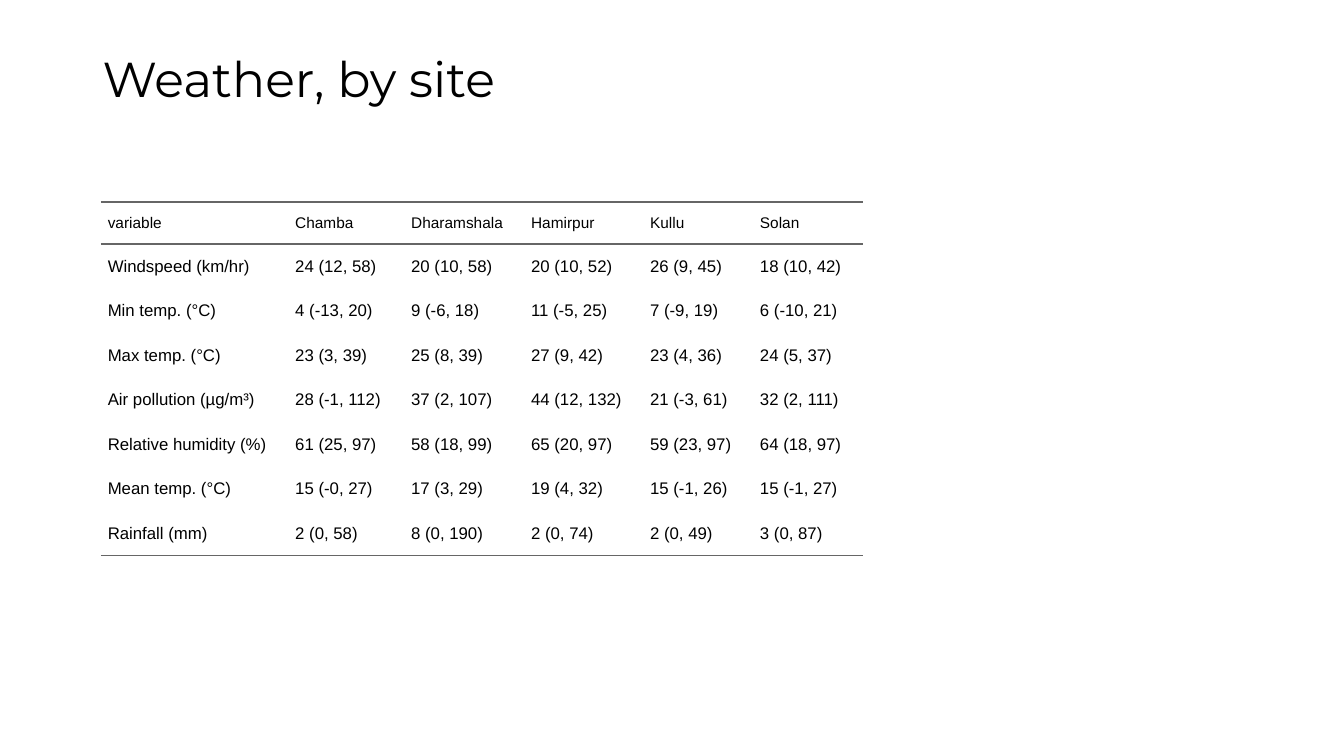
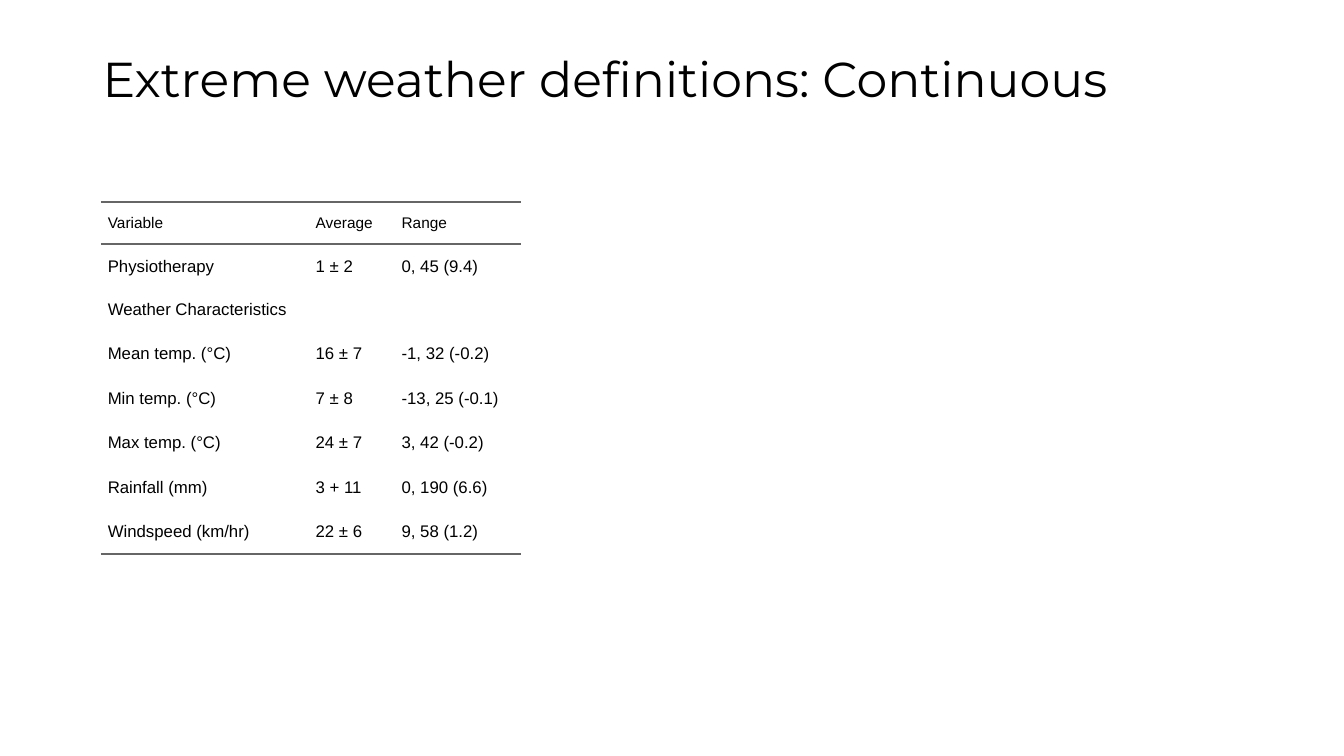
from lxml import etree
from pptx import Presentation
from pptx.dml.color import RGBColor
from pptx.enum import text
from pptx.oxml import ns
from pptx.util import Pt

BLACK = RGBColor(0x00, 0x00, 0x00)
RULE_GREY = RGBColor(0x66, 0x66, 0x66)
TITLE_FONT, TABLE_FONT = "Montserrat", "Arial"
NO_STYLE_NO_GRID = "{2D5ABB26-0587-4C30-8999-92F81FD0307C}"

TABLE_LEFT, TABLE_TOP = 72, 144
HEADER_HEIGHT, ROW_HEIGHT, SUBHEADING_HEIGHT = 30.4, 31.8, 30.6
CELL_MARGIN = 5

SITE_WIDTHS = [133.9, 82.8, 85.7, 85, 78.5, 78.5]
SITE_ROWS = [
    ["variable", "Chamba", "Dharamshala", "Hamirpur", "Kullu", "Solan"],
    ["Windspeed (km/hr)", "24 (12, 58)", "20 (10, 58)", "20 (10, 52)", "26 (9, 45)", "18 (10, 42)"],
    ["Min temp. (°C)", "4 (-13, 20)", "9 (-6, 18)", "11 (-5, 25)", "7 (-9, 19)", "6 (-10, 21)"],
    ["Max temp. (°C)", "23 (3, 39)", "25 (8, 39)", "27 (9, 42)", "23 (4, 36)", "24 (5, 37)"],
    ["Air pollution (µg/m³)", "28 (-1, 112)", "37 (2, 107)", "44 (12, 132)", "21 (-3, 61)", "32 (2, 111)"],
    ["Relative humidity (%)", "61 (25, 97)", "58 (18, 99)", "65 (20, 97)", "59 (23, 97)", "64 (18, 97)"],
    ["Mean temp. (°C)", "15 (-0, 27)", "17 (3, 29)", "19 (4, 32)", "15 (-1, 26)", "15 (-1, 27)"],
    ["Rainfall (mm)", "2 (0, 58)", "8 (0, 190)", "2 (0, 74)", "2 (0, 49)", "3 (0, 87)"],
]

DEFINITION_WIDTHS = [148.5, 61.4, 90]
DEFINITION_ROWS = [
    ["Variable", "Average", "Range"],
    ["Physiotherapy", "1 ± 2", "0, 45 (9.4)"],
    ["Weather Characteristics", "", ""],
    ["Mean temp. (°C)", "16 ± 7", "-1, 32 (-0.2)"],
    ["Min temp. (°C)", "7 ± 8", "-13, 25 (-0.1)"],
    ["Max temp. (°C)", "24 ± 7", "3, 42 (-0.2)"],
    ["Rainfall (mm)", "3 + 11", "0, 190 (6.6)"],
    ["Windspeed (km/hr)", "22 ± 6", "9, 58 (1.2)"],
]


def write(frame, words, *, size, font, spacing=None):
    paragraph = frame.paragraphs[0]
    paragraph.line_spacing = spacing
    run = paragraph.add_run()
    run.text = words
    run.font.size = Pt(size)
    run.font.name = font
    run.font.color.rgb = BLACK


def add_title(slide, words):
    title = slide.shapes.add_textbox(Pt(66.2), Pt(28.8), Pt(828), Pt(58.3))
    frame = title.text_frame
    frame.word_wrap = True
    frame.vertical_anchor = text.MSO_ANCHOR.MIDDLE
    write(frame, words, size=35, font=TITLE_FONT, spacing=0.9)


def add_rule(cell, side):
    """Draw a cell border; side is T or B, and T has to come first."""
    cell_properties = cell._tc.get_or_add_tcPr()
    line = etree.SubElement(cell_properties, ns.qn(f"a:ln{side}"), w=str(Pt(1.5)))
    fill = etree.SubElement(line, ns.qn("a:solidFill"))
    etree.SubElement(fill, ns.qn("a:srgbClr"), val=str(RULE_GREY))


def fill_cell(cell, words, *, size, rules):
    for side in rules:
        add_rule(cell, side)
    cell.fill.background()
    if words:
        cell.vertical_anchor = text.MSO_ANCHOR.MIDDLE
        cell.margin_left = cell.margin_top = cell.margin_bottom = Pt(CELL_MARGIN)
        cell.margin_right = 0
        write(cell.text_frame, words, size=size, font=TABLE_FONT)


def row_height(index, words):
    if index == 0:
        return HEADER_HEIGHT
    return ROW_HEIGHT if all(words) else SUBHEADING_HEIGHT


def add_ruled_table(slide, rows, widths):
    """Add a table with rules above and below its header and at its foot."""
    heights = [row_height(index, words) for index, words in enumerate(rows)]
    table = slide.shapes.add_table(
        len(rows), len(widths), Pt(TABLE_LEFT), Pt(TABLE_TOP),
        Pt(sum(widths)), Pt(sum(heights))).table
    table.first_row = table.horz_banding = False
    table._tbl.tblPr.find(ns.qn("a:tableStyleId")).text = NO_STYLE_NO_GRID
    for column, width in zip(table.columns, widths):
        column.width = Pt(width)

    rules_by_row = {0: "TB", len(rows) - 1: "B"}
    for index, (row, words) in enumerate(zip(table.rows, rows)):
        row.height = Pt(heights[index])
        for cell, entry in zip(row.cells, words):
            fill_cell(cell, entry, size=12 if index else 11,
                      rules=rules_by_row.get(index, ""))


def main():
    deck = Presentation()
    deck.slide_width, deck.slide_height = Pt(960), Pt(540)
    for title, rows, widths in (
        ("Weather, by site", SITE_ROWS, SITE_WIDTHS),
        ("Extreme weather definitions: Continuous", DEFINITION_ROWS, DEFINITION_WIDTHS),
    ):
        slide = deck.slides.add_slide(deck.slide_layouts[6])
        add_title(slide, title)
        add_ruled_table(slide, rows, widths)
    deck.save("out.pptx")


if __name__ == "__main__":
    main()
